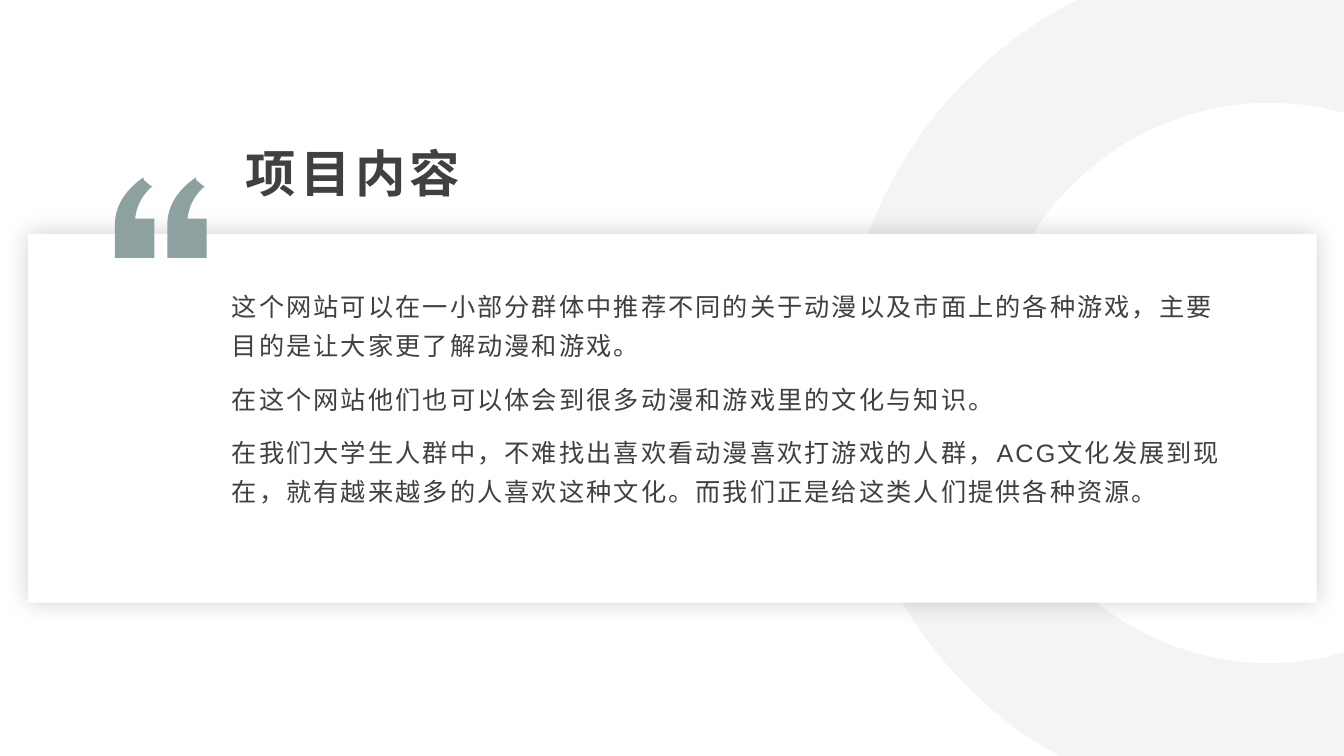
from dataclasses import dataclass

import lxml.etree
import pptx
import pptx.dml.color
import pptx.enum.shapes
import pptx.enum.text
import pptx.oxml
import pptx.oxml.ns
import pptx.util
from pptx.util import Inches

HEADING = "项目内容"
PARAGRAPHS = [
    "这个网站可以在一小部分群体中推荐不同的关于动漫以及市面上的各种游戏，主要目的是让大家更了解动漫和游戏。",
    "在这个网站他们也可以体会到很多动漫和游戏里的文化与知识。",
    "在我们大学生人群中，不难找出喜欢看动漫喜欢打游戏的人群，ACG文化发展到现在，就有越来越多的人喜欢这种文化。而我们正是给这类人们提供各种资源。",
]


@dataclass(frozen=True)
class Theme:
    font: str = "Arial"
    text: str = "404040"
    card: str = "FFFFFF"
    ring: str = "F2F2F2"
    quote: str = "8EA1A1"
    heading_size: int = 36
    body_size: int = 18


THEME = Theme()
SLIDE_W, SLIDE_H = 13.33, 7.5
CARD = (0.28, 2.32, 12.78, 3.66)
HEADING_BOX = (2.33, 1.37, 3.97, 0.68)
BODY_BOX = (2.19, 2.8, 10.11, 2.73)
QUOTE_LEFTS, QUOTE_TOP = (1.14, 1.66), 1.76

# Each step holds one point for a straight line or three for a Bezier curve.
RING = [
    [(10.69, 0)], [(SLIDE_W, 0)], [(SLIDE_W, 1.12)], [(13.16, 1.08)],
    [(12.98, 1.04), (12.79, 1.02), (12.6, 1.02)],
    [(11.07, 1.02), (9.82, 2.26), (9.82, 3.8)],
    [(9.82, 5.33), (11.07, 6.58), (12.6, 6.58)],
    [(12.79, 6.58), (12.98, 6.56), (13.16, 6.52)],
    [(SLIDE_W, 6.47)], [(SLIDE_W, SLIDE_H)], [(10.51, SLIDE_H)], [(10.22, 7.33)],
    [(9.09, 6.56), (8.35, 5.27), (8.35, 3.8)],
    [(8.35, 2.18), (9.25, 0.78), (10.57, 0.06)],
]
QUOTE_MARK = [
    [(0.39, 0.8)], [(0, 0.8)], [(0, 0.45)],
    [(0.01, 0.16), (0.28, 0.01), (0.28, 0)],
    [(0.29, 0.03)], [(0.35, 0.08)], [(0.37, 0.09)],
    [(0.37, 0.09), (0.22, 0.2), (0.2, 0.41)],
    [(0.39, 0.41)],
]


def rgb(value):
    return pptx.dml.color.RGBColor.from_string(value)


def paint(shape, colour):
    shape.shadow.inherit = False
    shape.fill.solid()
    shape.fill.fore_color.rgb = rgb(colour)
    shape.line.fill.background()


def add_outline(slide, steps, colour, left=0, top=0):
    """Draw straight steps, then merge each three-point step into a curve."""
    points = [(Inches(left + x), Inches(top + y)) for step in steps for x, y in step]
    builder = slide.shapes.build_freeform(*points[0])
    builder.add_line_segments(points[1:], close=True)
    outline = builder.convert_to_shape()
    paint(outline, colour)
    qn = pptx.oxml.ns.qn
    lines = iter(list(outline.element.iter(qn("a:lnTo"))))
    for step in steps[1:]:
        parts = [next(lines) for _ in step]
        if len(parts) == 3:
            curve = lxml.etree.Element(qn("a:cubicBezTo"))
            parts[0].addprevious(curve)
            for part in parts:
                curve.append(part[0])
                part.getparent().remove(part)
    return outline


def add_ring(slide):
    ring = add_outline(slide, RING, THEME.ring)
    colour = ring.element.find(".//" + pptx.oxml.ns.qn("a:srgbClr"))
    lxml.etree.SubElement(colour, pptx.oxml.ns.qn("a:alpha"), val="80000")


def add_card(slide):
    card = slide.shapes.add_shape(
        pptx.enum.shapes.MSO_SHAPE.RECTANGLE, *map(Inches, CARD))
    paint(card, THEME.card)
    effects = card.element.spPr.find(pptx.oxml.ns.qn("a:effectLst"))
    effects.append(pptx.oxml.parse_xml(
        f'<a:outerShdw {pptx.oxml.ns.nsdecls("a")} blurRad="{pptx.util.Pt(18)}" dist="0"'
        ' algn="ctr" rotWithShape="0"><a:srgbClr val="000000">'
        '<a:alpha val="18000"/></a:srgbClr></a:outerShdw>'))


def place_text(holder, box, insets, anchor):
    """Position a placeholder and bring it in front of the drawn shapes."""
    holder.left, holder.top, holder.width, holder.height = map(Inches, box)
    holder.element.getparent().append(holder.element)
    frame = holder.text_frame
    frame.word_wrap = True
    frame.auto_size = pptx.enum.text.MSO_AUTO_SIZE.NONE
    frame.vertical_anchor = anchor
    (frame.margin_left, frame.margin_top,
     frame.margin_right, frame.margin_bottom) = map(Inches, insets)
    return frame


def write(paragraph, words, size, tracking, bold=False):
    paragraph.alignment = pptx.enum.text.PP_ALIGN.LEFT
    run = paragraph.add_run()
    run.text = words
    run.font.name = THEME.font
    run.font.size = pptx.util.Pt(size)
    run.font.bold = bold
    run.font.color.rgb = rgb(THEME.text)
    run.font._element.set("spc", str(round(tracking * 100)))


def write_body(frame):
    for index, words in enumerate(PARAGRAPHS):
        paragraph = frame.add_paragraph() if index else frame.paragraphs[0]
        properties = paragraph._p.get_or_add_pPr()
        properties.set("marL", "0")
        properties.set("indent", "0")
        lxml.etree.SubElement(properties, pptx.oxml.ns.qn("a:buNone"))
        paragraph.line_spacing = 1.3
        paragraph.space_before = pptx.util.Pt(10 if index else 0)
        write(paragraph, words, THEME.body_size, 1.5)


def main():
    deck = pptx.Presentation()
    deck.slide_width, deck.slide_height = Inches(SLIDE_W), Inches(SLIDE_H)
    slide = deck.slides.add_slide(deck.slide_layouts[1])
    heading, body = slide.shapes.title, slide.placeholders[1]

    add_ring(slide)
    add_card(slide)
    for left in QUOTE_LEFTS:
        add_outline(slide, QUOTE_MARK, THEME.quote, left, QUOTE_TOP)

    anchors = pptx.enum.text.MSO_ANCHOR
    write_body(place_text(body, BODY_BOX, (0.11, 0, 0.09, 0), anchors.TOP))
    heading_frame = place_text(
        heading, HEADING_BOX, (0.11, 0.04, 0.07, 0.04), anchors.MIDDLE)
    write(heading_frame.paragraphs[0], HEADING, THEME.heading_size, 3, bold=True)
    deck.save("out.pptx")


if __name__ == "__main__":
    main()
